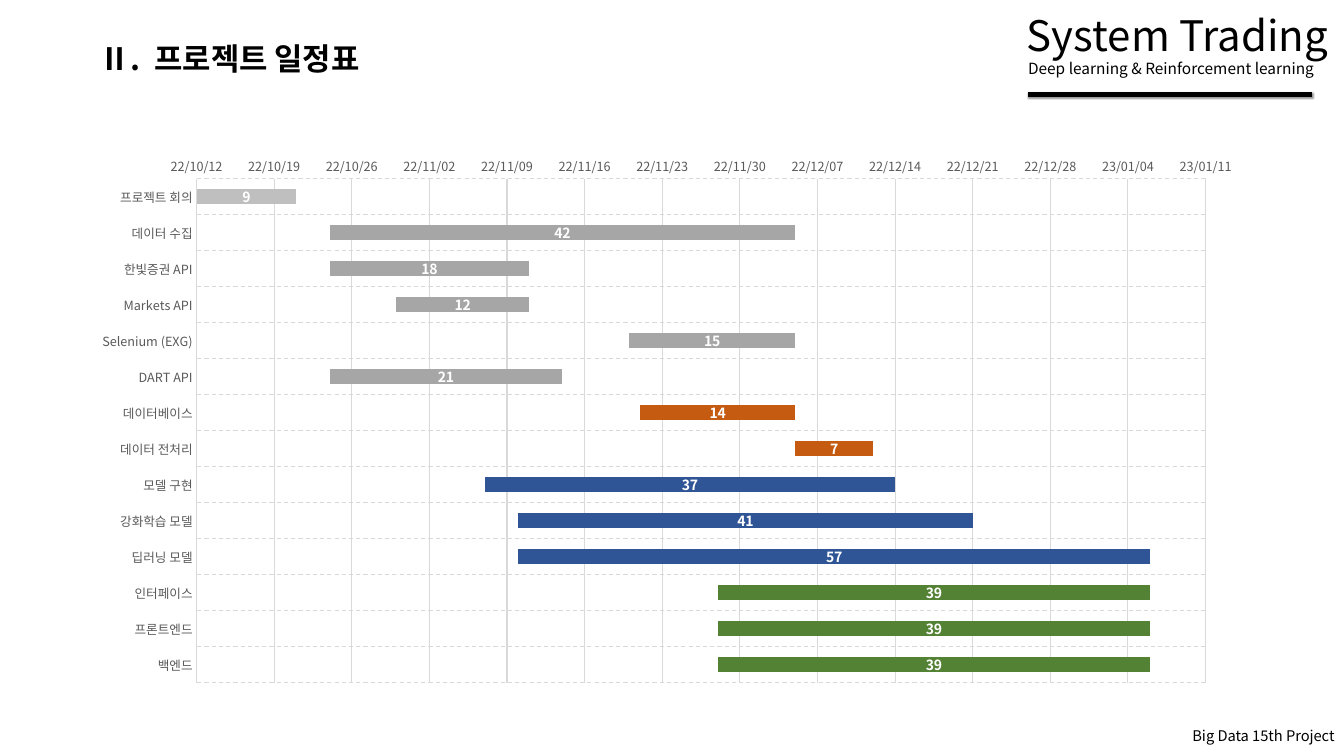
"""Build the project schedule slide with its Gantt chart."""
from dataclasses import dataclass

from lxml.etree import SubElement
from pptx import Presentation
from pptx.chart.chart import Chart
from pptx.chart.data import CategoryChartData
from pptx.dml.color import RGBColor
from pptx.enum.chart import XL_CHART_TYPE, XL_LABEL_POSITION, XL_TICK_MARK
from pptx.enum.dml import MSO_LINE
from pptx.enum.shapes import MSO_CONNECTOR
from pptx.enum.text import MSO_ANCHOR, MSO_AUTO_SIZE, PP_ALIGN
from pptx.oxml.ns import qn
from pptx.util import Emu, Inches, Pt

WIDTH, HEIGHT = Inches(13.33), Inches(7.5)
COLS, ROWS = 160, 90
FACE = "Noto Sans CJK KR"
HUES = {
    "ink": "000000", "paper": "FFFFFF", "label": "595959", "grid": "D9D9D9",
    "plan": "BFBFBF", "data": "A6A6A6", "store": "C55A11",
    "model": "2F5597", "front": "548235",
}


@dataclass
class Task:
    name: str
    start: int
    days: int
    hue: str


@dataclass
class Label:
    text: str
    col: float
    row: float
    wide: float
    tall: float
    size: float
    bold: bool = False
    align: PP_ALIGN = PP_ALIGN.LEFT
    space: float | None = 0.9


TASKS = [
    Task("프로젝트 회의", 44846, 9, "plan"),
    Task("데이터 수집", 44858, 42, "data"),
    Task("한빛증권 API", 44858, 18, "data"),
    Task("Markets API", 44864, 12, "data"),
    Task("Selenium (EXG)", 44885, 15, "data"),
    Task("DART API", 44858, 21, "data"),
    Task("데이터베이스", 44886, 14, "store"),
    Task("데이터 전처리", 44900, 7, "store"),
    Task("모델 구현", 44872, 37, "model"),
    Task("강화학습 모델", 44875, 41, "model"),
    Task("딥러닝 모델", 44875, 57, "model"),
    Task("인터페이스", 44893, 39, "front"),
    Task("프론트엔드", 44893, 39, "front"),
    Task("백엔드", 44893, 39, "front"),
]
TITLE = Label("Ⅱ.  프로젝트 일정표", 10.68, 4.08, 41.64, 5.64, 22, True, space=None)
BRAND = [
    Label("System Trading", 121.08, 1.2, 42.84, 7.08, 30),
    Label("Deep learning & Reinforcement learning", 121.2, 6.72, 41.04, 3.6, 11),
]
FOOT = Label("Big Data 15th Project", 122.88, 86.16, 37.2, 3.12, 10.5,
             align=PP_ALIGN.RIGHT)


def across(cols: float) -> Emu:
    return Emu(round(WIDTH * cols / COLS))


def down(rows: float) -> Emu:
    return Emu(round(HEIGHT * rows / ROWS))


def tint(name: str) -> RGBColor:
    return RGBColor.from_string(HUES[name])


def set_font(font, size: float, hue: str, bold: bool = False) -> None:
    font.size, font.bold, font.name = Pt(size), bold, FACE
    font.color.rgb = tint(hue)


def add_asian(root) -> None:
    for latin in list(root.iter(qn("a:latin"))):
        east = SubElement(latin.getparent(), qn("a:ea"), typeface=FACE)
        latin.addnext(east)


def add_shade(root, blur: float, dist: float):
    effects = SubElement(root, qn("a:effectLst"))
    outer = SubElement(effects, qn("a:outerShdw"), blurRad=str(Pt(blur)),
                       dist=str(Pt(dist)), dir="2700000", algn="tl")
    color = SubElement(outer, qn("a:srgbClr"), val=HUES["ink"])
    SubElement(color, qn("a:alpha"), val="40000")
    return effects


def fill_text(shape, label: Label) -> None:
    shape.left, shape.top = across(label.col), down(label.row)
    shape.width, shape.height = across(label.wide), down(label.tall)
    frame = shape.text_frame
    frame.text = label.text
    frame.word_wrap, frame.auto_size = True, MSO_AUTO_SIZE.NONE
    frame.vertical_anchor = MSO_ANCHOR.TOP
    frame.margin_left = frame.margin_right = Inches(0.1)
    frame.margin_top = frame.margin_bottom = Inches(0.05)
    para = frame.paragraphs[0]
    para.alignment = label.align
    if label.space:
        para.line_spacing = label.space
    for run in para.runs:
        set_font(run.font, label.size, "ink", label.bold)
        props = run._r.get_or_add_rPr()
        props.find(qn("a:solidFill")).addnext(add_shade(props, 3, 3))
        add_asian(props)


def add_label(shapes, label: Label) -> None:
    fill_text(shapes.add_textbox(0, 0, across(1), down(1)), label)


def add_rule(shapes) -> None:
    rule = shapes.add_connector(MSO_CONNECTOR.STRAIGHT, across(122.4), down(11.28),
                                across(156.24), down(11.28))
    rule.line.color.rgb = tint("ink")
    rule.line.width = Pt(3.5)
    add_shade(rule._element.spPr, 1, 0.5)


def style_axis(axis) -> None:
    axis.major_tick_mark = axis.minor_tick_mark = XL_TICK_MARK.NONE
    axis.has_major_gridlines = True
    line = axis.major_gridlines.format.line
    line.color.rgb, line.width = tint("grid"), Pt(0.75)
    set_font(axis.tick_labels.font, 9, "label")


def place_plot(chart: Chart) -> None:
    area = chart.element.find(".//" + qn("c:plotArea"))
    for old in area.findall(qn("c:layout")):
        area.remove(old)
    layout = SubElement(area, qn("c:layout"))
    area.insert(0, layout)
    manual = SubElement(layout, qn("c:manualLayout"))
    parts = {"layoutTarget": "inner", "xMode": "edge", "yMode": "edge",
             "x": "0.092", "y": "0.059", "w": "0.869", "h": "0.914"}
    for tag, value in parts.items():
        SubElement(manual, qn(f"c:{tag}"), val=value)


def add_gantt(shapes) -> None:
    data = CategoryChartData()
    data.categories = [task.name for task in TASKS]
    data.add_series("Series 1", [task.start for task in TASKS])
    data.add_series("Series 2", [task.days for task in TASKS])
    data.add_series("Series 3", [task.start + task.days for task in TASKS])
    chart = shapes.add_chart(XL_CHART_TYPE.BAR_STACKED, across(10.68), down(17.4),
                             across(138.24), down(65.64), data).chart
    chart.has_title = chart.has_legend = False
    set_font(chart.font, 10, "ink")
    plot = chart.plots[0]
    plot.gap_width, plot.overlap, plot.vary_by_categories = 150, 100, False
    start, span, end = plot.series
    for blank in (start, end):
        blank.format.fill.background()
        blank.format.line.fill.background()
    span.format.fill.solid()
    span.format.fill.fore_color.rgb = tint("label")
    for spot, task in enumerate(TASKS):
        fill = span.points[spot].format.fill
        fill.solid()
        fill.fore_color.rgb = tint(task.hue)
    labels = span.data_labels
    labels.show_value, labels.position = True, XL_LABEL_POSITION.CENTER
    set_font(labels.font, 10, "paper", True)
    names, dates = chart.category_axis, chart.value_axis
    for axis in (names, dates):
        style_axis(axis)
    names.reverse_order = True
    names.major_gridlines.format.line.dash_style = MSO_LINE.DASH
    names.format.line.color.rgb = tint("grid")
    names.format.line.width = Pt(0.75)
    dates.format.line.fill.background()
    dates.minimum_scale, dates.maximum_scale, dates.major_unit = 44846, 44937, 7
    dates.tick_labels.number_format = r"yy\/mm\/dd"
    dates.tick_labels.number_format_is_linked = False
    place_plot(chart)
    add_asian(chart.element)


def main() -> None:
    deck = Presentation()
    deck.slide_width, deck.slide_height = WIDTH, HEIGHT
    slide = deck.slides.add_slide(deck.slide_layouts[5])
    add_gantt(slide.shapes)
    group = slide.shapes.add_group_shape().shapes
    for label in BRAND:
        add_label(group, label)
    add_rule(group)
    add_label(slide.shapes, FOOT)
    fill_text(slide.shapes.title, TITLE)
    deck.save("out.pptx")


if __name__ == "__main__":
    main()
